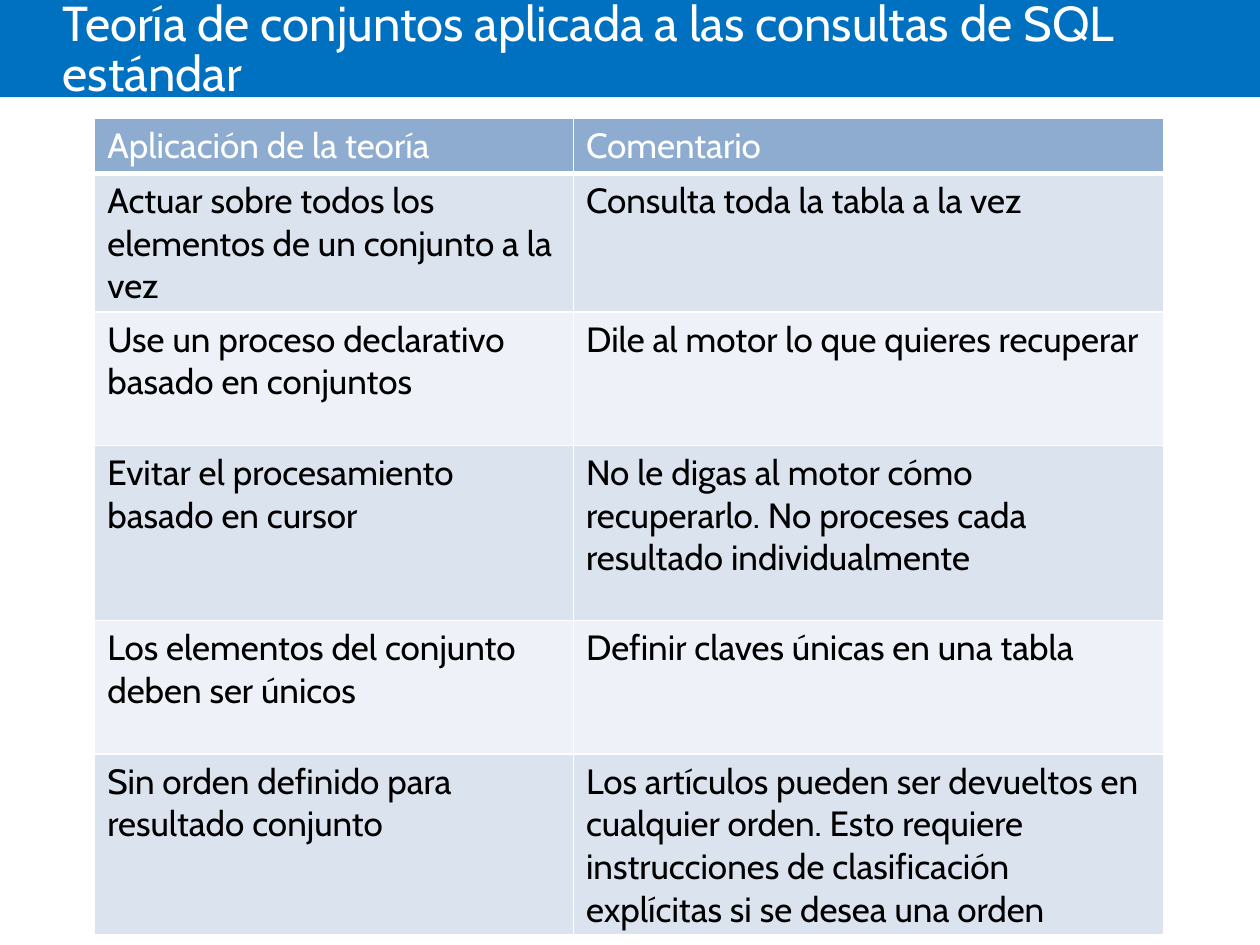
from lxml.etree import SubElement
from pptx import Presentation
from pptx.dml.color import RGBColor
from pptx.enum.shapes import MSO_SHAPE
from pptx.enum.text import MSO_ANCHOR
from pptx.oxml.ns import qn
from pptx.util import Cm, Pt

FONT = "Cabin"
WHITE = RGBColor(0xFF, 0xFF, 0xFF)
BLACK = RGBColor(0x00, 0x00, 0x00)
BAND_BLUE = RGBColor(0x00, 0x70, 0xC0)
HEADER_BLUE = RGBColor(0x8D, 0xAC, 0xD0)
ROW_DARK = RGBColor(0xDB, 0xE3, 0xEE)
ROW_LIGHT = RGBColor(0xEE, 0xF1, 0xF7)

TITLE = "Teoría de conjuntos aplicada a las consultas de SQL estándar"
COLUMN_WIDTHS = (9.65, 11.89)
ROWS = [
    (1.07, "Aplicación de la teoría", "Comentario"),
    (2.69, "Actuar sobre todos los elementos de un conjunto a la vez",
     "Consulta toda la tabla a la vez"),
    (2.69, "Use un proceso declarativo basado en conjuntos",
     "Dile al motor lo que quieres recuperar"),
    (3.53, "Evitar el procesamiento basado en cursor",
     "No le digas al motor cómo recuperarlo. No proceses cada resultado individualmente"),
    (2.69, "Los elementos del conjunto deben ser únicos",
     "Definir claves únicas en una tabla"),
    (2.69, "Sin orden definido para resultado conjunto",
     "Los artículos pueden ser devueltos en cualquier orden. Esto requiere "
     "instrucciones de clasificación explícitas si se desea una orden"),
]


def add_run(paragraph, text, size, color):
    """Add one run of text in the slide font."""
    run = paragraph.add_run()
    run.text = text
    run.font.name = FONT
    run.font.size = Pt(size)
    run.font.color.rgb = color


def set_borders(cell, bottom_width):
    """Draw white lines around a cell, 1 pt except for the bottom one."""
    properties = cell._tc.get_or_add_tcPr()
    widths = {"lnL": 1, "lnR": 1, "lnT": 1, "lnB": bottom_width}
    for index, (side, width) in enumerate(widths.items()):
        line = properties.makeelement(qn(f"a:{side}"), {"w": str(Pt(width))})
        fill = SubElement(line, qn("a:solidFill"))
        SubElement(fill, qn("a:srgbClr"), val=str(WHITE))
        properties.insert(index, line)


def add_title_band(slide, left, top, width, height):
    """Place the blue band and the slide title over it."""
    band = slide.shapes.add_shape(MSO_SHAPE.RECTANGLE, left, top, width, height)
    band.shadow.inherit = False
    band.fill.solid()
    band.fill.fore_color.rgb = BAND_BLUE
    band.line.fill.background()

    title = slide.shapes.add_textbox(
        left + Cm(1.27), top, width - Cm(3.81), height + Cm(0.1))
    frame = title.text_frame
    frame.word_wrap = True
    frame.vertical_anchor = MSO_ANCHOR.MIDDLE
    frame.margin_left = 0
    paragraph = frame.paragraphs[0]
    paragraph.line_spacing = 0.85
    add_run(paragraph, TITLE, 28, WHITE)


def add_theory_table(slide, left, top, width, height):
    """Place the table of theory applications and comments."""
    table = slide.shapes.add_table(
        len(ROWS), len(COLUMN_WIDTHS), left, top, width, height).table
    for column, column_width in zip(table.columns, COLUMN_WIDTHS):
        column.width = Cm(column_width)
    for index, (row_height, *texts) in enumerate(ROWS):
        is_header = index == 0
        table.rows[index].height = Cm(row_height)
        band_color = ROW_DARK if index % 2 else ROW_LIGHT
        for cell, text in zip(table.rows[index].cells, texts):
            cell.fill.solid()
            cell.fill.fore_color.rgb = HEADER_BLUE if is_header else band_color
            set_borders(cell, 3 if is_header else 1)
            add_run(cell.text_frame.paragraphs[0], text, 20,
                    WHITE if is_header else BLACK)


def main():
    """Build the slide and save it."""
    presentation = Presentation()
    presentation.slide_width = Cm(25.4)
    presentation.slide_height = Cm(19.05)
    slide = presentation.slides.add_slide(presentation.slide_layouts[6])
    add_title_band(slide, 0, 0, presentation.slide_width, Cm(1.96))
    add_theory_table(slide, Cm(1.91), Cm(2.39), Cm(sum(COLUMN_WIDTHS)),
                     Cm(sum(row[0] for row in ROWS)))
    presentation.save("out.pptx")


if __name__ == "__main__":
    main()
